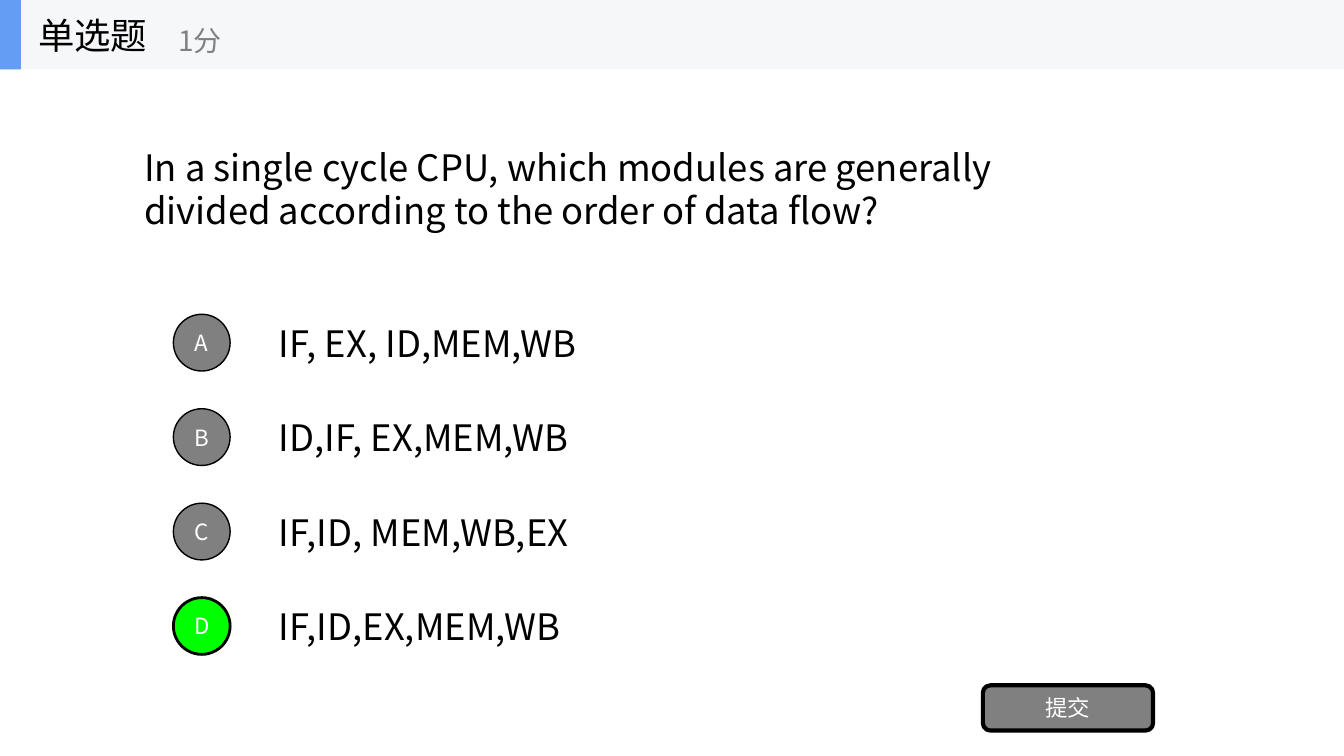
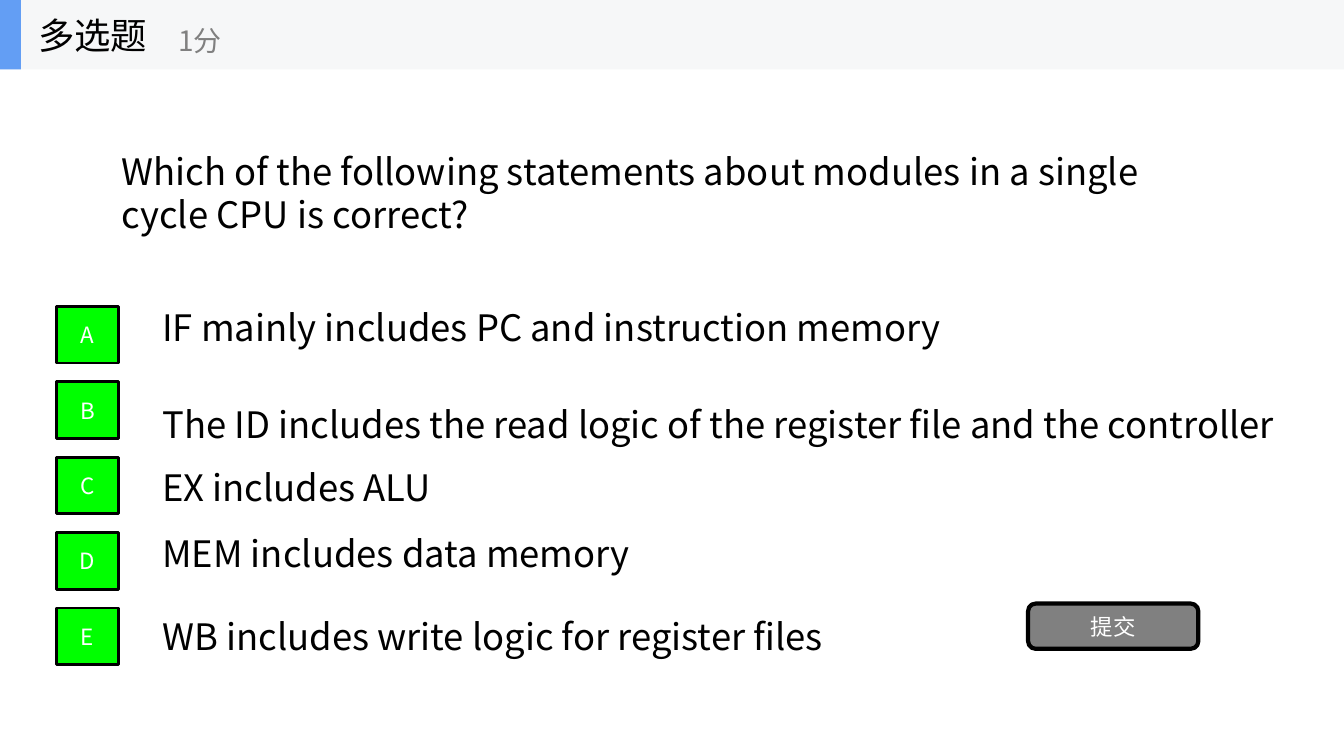
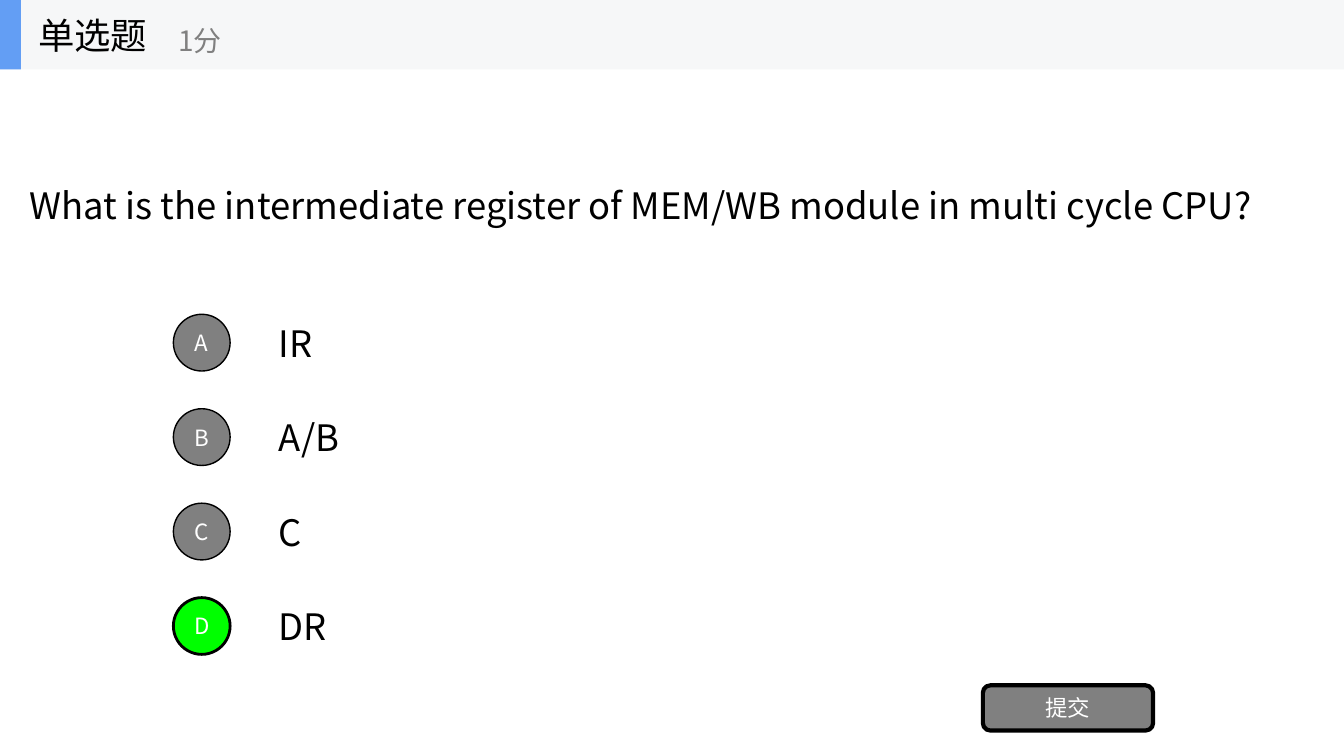
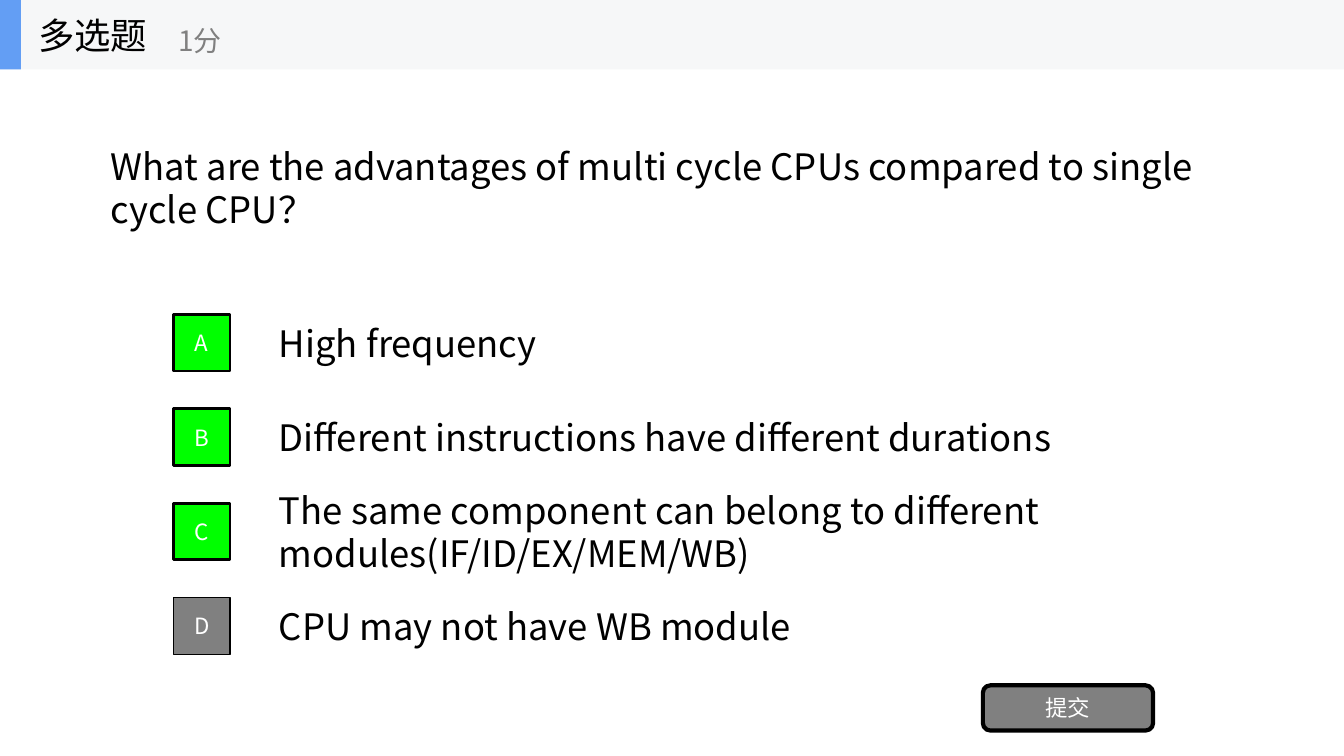
from dataclasses import dataclass

from lxml import etree
from pptx import Presentation
from pptx.dml.color import RGBColor
from pptx.enum.shapes import MSO_SHAPE
from pptx.enum.text import MSO_ANCHOR, MSO_AUTO_SIZE, PP_ALIGN
from pptx.oxml.ns import qn
from pptx.util import Cm, Pt

ELLIPSE = MSO_SHAPE.OVAL
RECTANGLE = MSO_SHAPE.RECTANGLE
ROUNDED = MSO_SHAPE.ROUNDED_RECTANGLE
MIDDLE = MSO_ANCHOR.MIDDLE
CENTER = PP_ALIGN.CENTER
GROW = MSO_AUTO_SIZE.SHAPE_TO_FIT_TEXT


@dataclass(frozen=True)
class Theme:
    font: str = "Noto Sans CJK SC"
    ink: str = "000000"
    paper: str = "FFFFFF"
    muted: str = "808080"
    correct: str = "00FF00"
    band: str = "F6F7F8"
    accent: str = "639EF4"
    body_size: int = 26
    score_size: int = 20
    label_size: int = 16


THEME = Theme()
SLIDE_WIDTH, SLIDE_HEIGHT = 33.87, 19.05
BAND_HEIGHT = 1.75
LINE_HEIGHT, TWO_LINE_HEIGHT = 1.37, 2.49


def add_text(shapes, text, left, top, width, height, size=THEME.body_size,
             color=THEME.ink, wrap=True):
    box = shapes.add_textbox(Cm(left), Cm(top), Cm(width), Cm(height))
    write(box, text, size, color)
    box.text_frame.word_wrap = wrap
    if wrap:
        box.text_frame.auto_size = GROW


def write(box, text, size, color):
    """Put one vertically centred run in the box, in Latin and East Asian font."""
    box.text_frame.vertical_anchor = MIDDLE
    para = box.text_frame.paragraphs[0]
    span = para.add_run()
    span.text = text
    span.font.size = Pt(size)
    span.font.name = THEME.font
    span.font.color.rgb = RGBColor.from_string(color)
    east_asian = etree.SubElement(span.font._element, qn("a:ea"))
    east_asian.set("typeface", THEME.font)


# Layouts of the option list: label column, text column and row pitch
WIDE_ROWS = dict(left=4.37, top=7.92, width=1.43, pitch=2.38,
                 text_left=6.78, button=(24.77, 17.27))
TIGHT_ROWS = dict(left=1.42, top=7.72, width=1.57, pitch=1.9,
                  text_left=3.84, button=(25.91, 15.21))
LABEL_HEIGHT = 1.43

# Question: text, left, middle, width, height
# Option: text, width, height, shift of the text from the middle of its label
QUIZ = [
    dict(
        kind="单选题", label=ELLIPSE, answers="D", rows=WIDE_ROWS,
        question=("In a single cycle CPU, which modules are generally divided "
                  "according to the order of data flow?",
                  3.38, 4.75, 25.25, TWO_LINE_HEIGHT),
        options=[
            ("IF, EX, ID,MEM,WB", 10.57, LINE_HEIGHT, 0),
            ("ID,IF, EX,MEM,WB", 9.78, LINE_HEIGHT, 0),
            ("IF,ID, MEM,WB,EX", 9.25, LINE_HEIGHT, 0),
            ("IF,ID,EX,MEM,WB", 10.57, LINE_HEIGHT, 0),
        ],
    ),
    dict(
        kind="多选题", label=RECTANGLE, answers="ABCDE", rows=TIGHT_ROWS,
        question=("Which of the following statements about modules in a single "
                  "cycle CPU is correct?",
                  2.82, 4.85, 27.48, TWO_LINE_HEIGHT),
        options=[
            ("IF mainly includes PC and instruction memory", 24.41, LINE_HEIGHT, -0.2),
            ("The ID includes the read logic of the register file and the controller",
             30.02, LINE_HEIGHT, 0.36),
            ("EX includes ALU", 10.24, LINE_HEIGHT, 0.03),
            ("MEM includes data memory", 16.71, LINE_HEIGHT, -0.2),
            ("WB includes write logic for register files", 26.29, LINE_HEIGHT, 0),
        ],
    ),
    dict(
        kind="单选题", label=ELLIPSE, answers="D", rows=WIDE_ROWS,
        question=("What is the intermediate register of MEM/WB module in multi "
                  "cycle CPU?",
                  0.5, 5.16, 32.77, LINE_HEIGHT),
        options=[
            ("IR", 10.57, LINE_HEIGHT, 0),
            ("A/B", 9.78, LINE_HEIGHT, 0),
            ("C", 9.25, LINE_HEIGHT, 0),
            ("DR", 10.57, LINE_HEIGHT, 0),
        ],
    ),
    dict(
        kind="多选题", label=RECTANGLE, answers="ABC", rows=WIDE_ROWS,
        question=("What are the advantages of multi cycle CPUs compared to single "
                  "cycle CPU？",
                  2.54, 4.72, 28.78, TWO_LINE_HEIGHT),
        options=[
            ("High frequency", 10.57, LINE_HEIGHT, 0),
            ("Different instructions have different durations", 22.28, LINE_HEIGHT, 0),
            ("The same component can belong to different modules(IF/ID/EX/MEM/WB)",
             22.78, TWO_LINE_HEIGHT, 0),
            ("CPU may not have WB module", 17.12, LINE_HEIGHT, 0),
        ],
    ),
]

deck = Presentation()
deck.slide_width = Cm(SLIDE_WIDTH)
deck.slide_height = Cm(SLIDE_HEIGHT)
blank = deck.slide_layouts[6]

for quiz in QUIZ:
    page = deck.slides.add_slide(blank)
    rows = quiz["rows"]

    text, left, middle, width, height = quiz["question"]
    add_text(page.shapes, text, left, middle - height / 2, width, height)

    # Option texts; labels and the submit button are collected for one loop
    buttons = []
    for index, (text, width, height, shift) in enumerate(quiz["options"]):
        letter = "ABCDE"[index]
        top = rows["top"] + index * rows["pitch"]
        middle = top + LABEL_HEIGHT / 2 + shift
        add_text(page.shapes, text, rows["text_left"], middle - height / 2, width, height)
        correct = letter in quiz["answers"]
        buttons.append((quiz["label"], letter, rows["left"], top, rows["width"],
                        LABEL_HEIGHT, THEME.correct if correct else THEME.muted,
                        2 if correct else 1))
    buttons.append((ROUNDED, "提交", *rows["button"], 4.29, 1.14, THEME.muted, 3))

    for preset, text, left, top, width, height, fill, line in buttons:
        button = page.shapes.add_shape(preset, Cm(left), Cm(top), Cm(width), Cm(height))
        button.shadow.inherit = False
        button.fill.solid()
        button.fill.fore_color.rgb = RGBColor.from_string(fill)
        button.line.color.rgb = RGBColor.from_string(THEME.ink)
        button.line.width = Pt(line)
        frame = button.text_frame
        frame.margin_left = frame.margin_right = Cm(0)
        write(button, text, THEME.label_size, THEME.paper)
        frame.paragraphs[0].alignment = CENTER

    # Header band with question kind and score
    header = page.shapes.add_group_shape()
    for width, color in [(SLIDE_WIDTH, THEME.band), (0.53, THEME.accent)]:
        band = header.shapes.add_shape(RECTANGLE, Cm(0), Cm(0), Cm(width), Cm(BAND_HEIGHT))
        band.shadow.inherit = False
        band.fill.solid()
        band.fill.fore_color.rgb = RGBColor.from_string(color)
        band.line.fill.background()
    add_text(header.shapes, quiz["kind"], 0.71, 0, 5.28, BAND_HEIGHT, wrap=False)
    add_text(header.shapes, "1分", 4.24, 0.3, 6.35, 1.42,
             THEME.score_size, THEME.muted, wrap=False)

deck.save("out.pptx")
